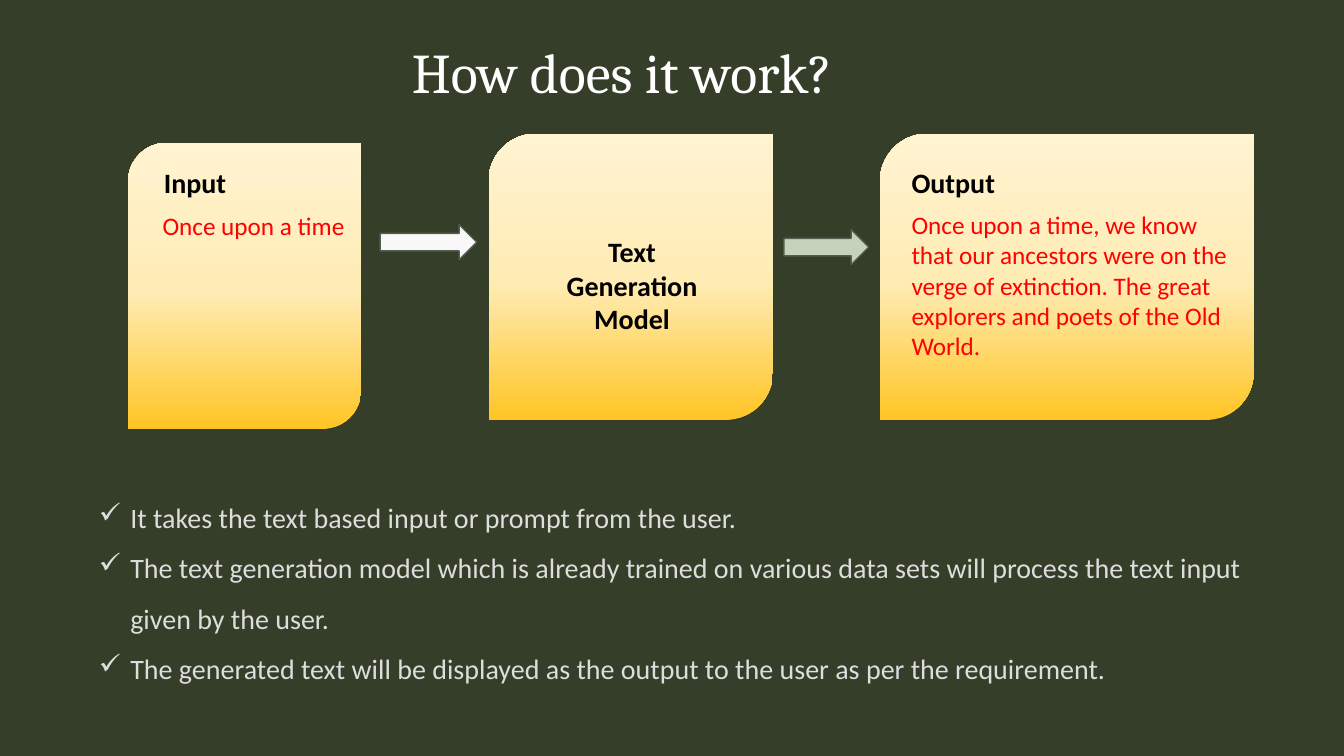
from copy import deepcopy

from lxml.etree import SubElement
from pptx import Presentation
from pptx.dml.color import RGBColor
from pptx.enum.shapes import MSO_SHAPE
from pptx.enum.text import MSO_ANCHOR, PP_ALIGN
from pptx.oxml.ns import qn
from pptx.util import Pt


def color(value):
    return RGBColor.from_string(value)


def write(box, lines, size, shade, bold=False, font="Calibri", align=PP_ALIGN.LEFT):
    frame = box.text_frame
    frame.word_wrap = True
    frame.vertical_anchor = MSO_ANCHOR.TOP
    for index, line in enumerate(lines):
        para = frame.add_paragraph() if index else frame.paragraphs[0]
        para.alignment = align
        span = para.add_run()
        span.text = line
        span.font.name = font
        span.font.size = Pt(size)
        span.font.bold = bold
        span.font.color.rgb = color(shade)


deck = Presentation()
deck.slide_width, deck.slide_height = Pt(960), Pt(540)
page = deck.slides.add_slide(deck.slide_layouts[5])
page.background.fill.solid()
page.background.fill.fore_color.rgb = color("343E29")

# Title
title = page.shapes.title
title.left, title.top, title.width, title.height = Pt(287), Pt(23), Pt(673), Pt(78)
write(title, ["How does it work?"], 40, "FFFFFF", font="Cambria")

# Gradient cards: left, top, width
gradient = [(0, "FFC524"), (0.48, "FFECB5"), (1, "FFF3D1")]
for left, top, width in [(91.5, 102, 166.5), (349, 95.5, 203), (628.5, 95.5, 267)]:
    card = page.shapes.add_shape(
        MSO_SHAPE.ROUND_2_DIAG_RECTANGLE, Pt(left), Pt(top), Pt(width), Pt(204.5))
    card.shadow.inherit = False
    card.line.fill.background()
    card.fill.gradient()
    card.fill.gradient_angle = 90
    stop_list = card.element.spPr.find(qn("a:gradFill")).find(qn("a:gsLst"))
    stop_list.append(deepcopy(stop_list[0]))
    for stop, (position, shade) in zip(card.fill.gradient_stops, gradient):
        stop.position = position
        stop.color.rgb = color(shade)

# Arrows between the cards
for left, top, width, shade in [(271.5, 160.5, 69, "F8F8F8"), (560, 164, 60.5, "C7D2BC")]:
    arrow = page.shapes.add_shape(
        MSO_SHAPE.RIGHT_ARROW, Pt(left), Pt(top), Pt(width), Pt(25))
    arrow.shadow.inherit = False
    arrow.fill.solid()
    arrow.fill.fore_color.rgb = color(shade)
    arrow.line.color.rgb = color("575C52")
    arrow.line.width = Pt(1)

# Card texts: left, top, width, height, lines, size, colour, bold, alignment
story = ("Once upon a time, we know that our ancestors were on the verge of extinction. "
         "The great explorers and poets of the Old World.")
card_texts = [
    (110, 115, 97, 32, ["Input"], 20, "000000", True, PP_ALIGN.LEFT),
    (109, 147, 154, 29, ["Once upon a time"], 18, "FF0000", False, PP_ALIGN.LEFT),
    (392, 164, 119, 80, ["Text", "Generation", "Model"], 20, "000000", True, PP_ALIGN.CENTER),
    (644, 115, 104, 32, ["Output"], 20, "000000", True, PP_ALIGN.LEFT),
    (644, 146, 251, 117, [story], 18, "FF0000", False, PP_ALIGN.LEFT),
]
for left, top, width, height, lines, size, shade, bold, align in card_texts:
    box = page.shapes.add_textbox(Pt(left), Pt(top), Pt(width), Pt(height))
    write(box, lines, size, shade, bold, align=align)

# Checked list
steps = page.shapes.add_textbox(Pt(63.5), Pt(342), Pt(832), Pt(149))
write(steps, [
    "It takes the text based input or prompt from the user.",
    "The text generation model which is already trained on various data sets "
    "will process the text input given by the user.",
    "The generated text will be displayed as the output to the user as per the requirement.",
], 20, "DDDDDD")
for para in steps.text_frame.paragraphs:
    para.line_spacing = 1.5
    settings = para._p.get_or_add_pPr()
    settings.set("marL", str(Pt(22.5)))
    settings.set("indent", str(-Pt(22.5)))
    SubElement(settings, qn("a:buChar")).set("char", "✓")

deck.save("out.pptx")
